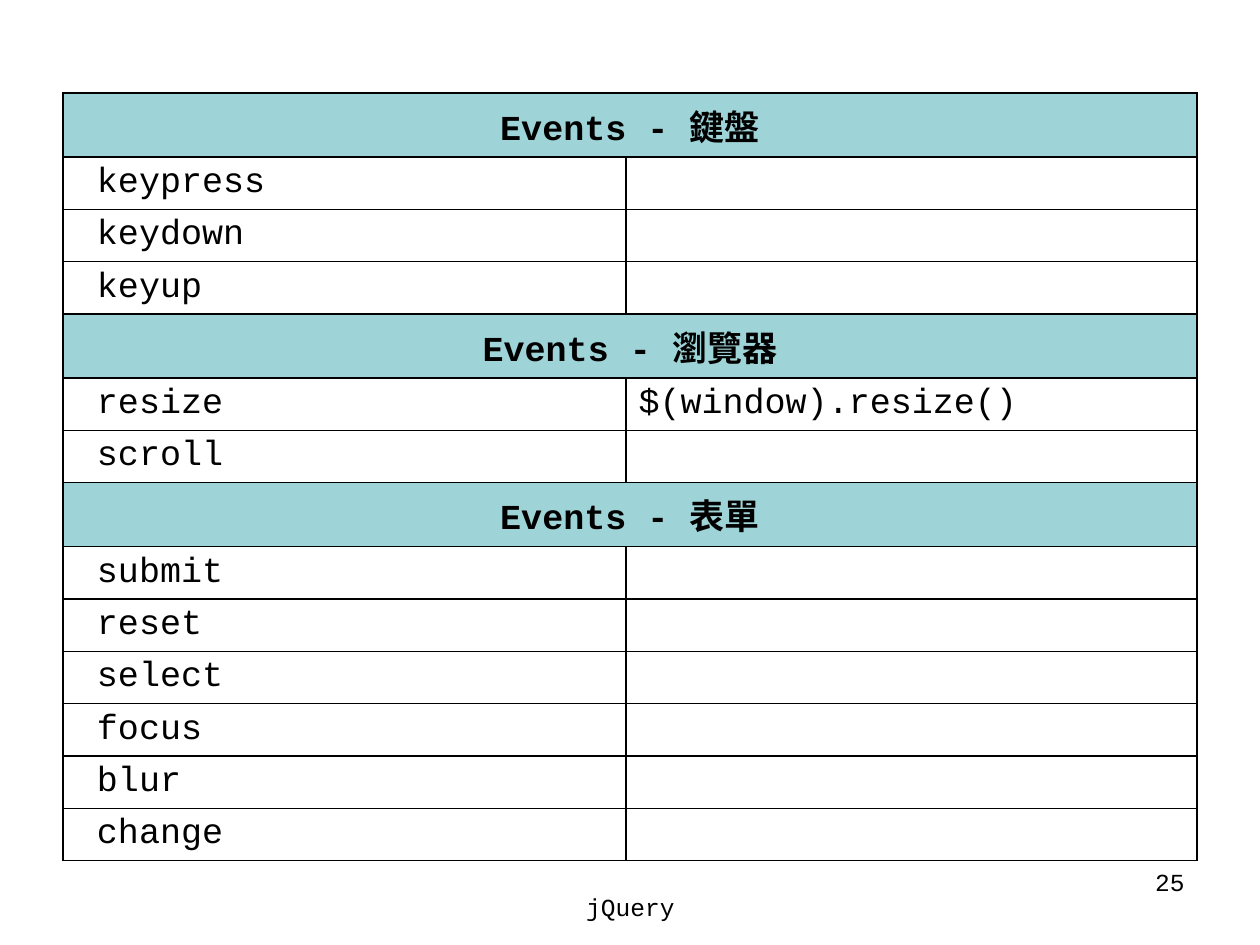
import pptx
import pptx.util
import pptx.dml.color
import pptx.enum.text
import pptx.oxml

COLORS = {"text": "000000", "border": "000000", "header": "9ED3D7"}
SECTIONS = [
    ("鍵盤", [("keypress", ""), ("keydown", ""), ("keyup", "")]),
    ("瀏覽器", [("resize", "$(window).resize()"), ("scroll", "")]),
    ("表單", [(name, "") for name in
            ("submit", "reset", "select", "focus", "blur", "change")]),
]
ALIGN = pptx.enum.text.PP_ALIGN
NAMESPACE = "http://schemas.openxmlformats.org/drawingml/2006/main"


def px(length):
    return pptx.util.Emu(round(length * 914400 / 126))


def color(name):
    return pptx.dml.color.RGBColor.from_string(COLORS[name])


class SlideBuilder:
    font_name = "Courier New"
    table_size = 20
    footer_size = 14
    header_height = 64
    row_height = 52
    name_indent = 34

    def __init__(self, page):
        self.page = page

    def set_text(self, frame, text, size, align, bold=False):
        paragraph = frame.paragraphs[0]
        paragraph.text = text
        paragraph.alignment = align
        font = paragraph.font
        font.name = self.font_name
        font.size = pptx.util.Pt(size)
        font.bold = bold
        font.color.rgb = color("text")

    def text_box(self, left, top, width, height, text, align):
        box = self.page.shapes.add_textbox(px(left), px(top), px(width), px(height))
        box.text_frame.word_wrap = True
        self.set_text(box.text_frame, text, self.footer_size, align)

    def outline(self, cell):
        properties = cell._tc.get_or_add_tcPr()
        for position, side in enumerate(("lnL", "lnR", "lnT", "lnB")):
            line = pptx.oxml.parse_xml(
                f'<a:{side} xmlns:a="{NAMESPACE}" w="12700"><a:solidFill>'
                f'<a:srgbClr val="{COLORS["border"]}"/></a:solidFill></a:{side}>')
            properties.insert(position, line)

    def cell(self, cell, text, header=False):
        if header:
            cell.fill.solid()
            cell.fill.fore_color.rgb = color("header")
        else:
            cell.fill.background()
        self.outline(cell)
        align = ALIGN.CENTER if header else ALIGN.LEFT
        self.set_text(cell.text_frame, text, self.table_size, align, header)

    def event_table(self, left, top, widths, sections):
        rows = []
        for title, events in sections:
            rows.append((f"Events - {title}",))
            rows.extend(events)
        heights = [self.header_height if len(row) == 1 else self.row_height
                   for row in rows]
        table = self.page.shapes.add_table(
            len(rows), len(widths), px(left), px(top),
            px(sum(widths)), px(sum(heights))).table
        table.first_row = False
        table.horz_banding = False
        for column, width in zip(table.columns, widths):
            column.width = px(width)
        for index, (row, height) in enumerate(zip(rows, heights)):
            table.rows[index].height = px(height)
            first, second = table.cell(index, 0), table.cell(index, 1)
            if len(row) == 1:
                first.merge(second)
                self.cell(first, row[0], header=True)
                self.cell(second, "", header=True)
            else:
                first.margin_left = px(self.name_indent)
                self.cell(first, row[0])
                self.cell(second, row[1])


def main():
    deck = pptx.Presentation()
    deck.slide_width = px(1260)
    deck.slide_height = px(945)
    builder = SlideBuilder(deck.slides.add_slide(deck.slide_layouts[6]))
    builder.event_table(63, 93, (563, 571), SECTIONS)
    builder.text_box(903, 861, 294, 66, "25", ALIGN.RIGHT)
    builder.text_box(431, 886, 399, 63, "jQuery", ALIGN.CENTER)
    deck.save("out.pptx")


if __name__ == "__main__":
    main()
